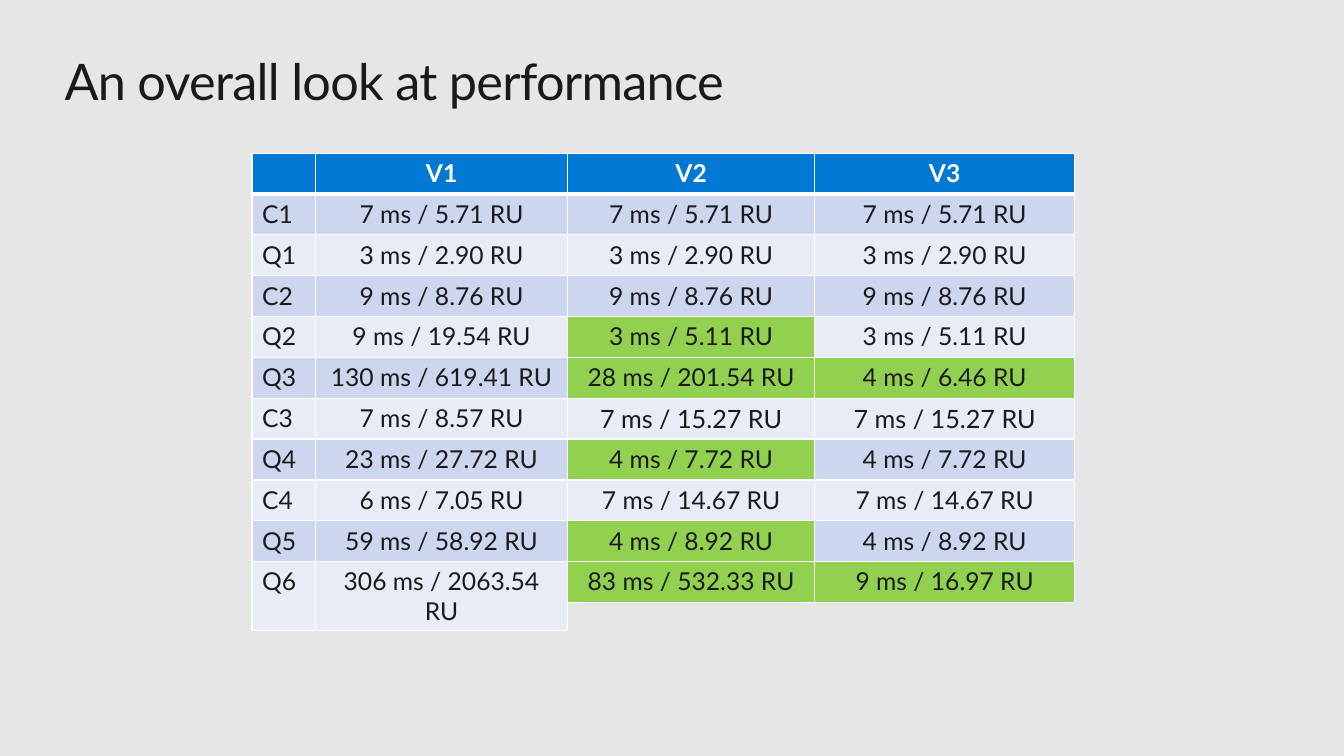
from dataclasses import dataclass
from lxml.etree import SubElement
from pptx import Presentation
from pptx.dml.color import RGBColor
from pptx.enum.text import MSO_ANCHOR, PP_ALIGN
from pptx.oxml.ns import qn
from pptx.util import Inches, Pt


@dataclass
class Theme:
    font: str = "Lato"
    head: float = 36
    body: float = 17.6
    large: float = 18
    back: str = "E6E6E6"
    ink: str = "1A1A1A"
    white: str = "FFFFFF"
    blue: str = "0078D4"
    dark: str = "CCD6EF"
    light: str = "E7ECF7"
    green: str = "92D050"


theme = Theme()


def style(para, size, color, bold=False):
    para.font.name = theme.font
    para.font.size = Pt(size)
    para.font.bold = bold
    para.font.color.rgb = RGBColor.from_string(color)


def edge(cell, side, width):
    props = cell._tc.get_or_add_tcPr()
    line = SubElement(props, qn(f"a:ln{side}"), w=str(Pt(width)))
    fill = SubElement(line, qn("a:solidFill"))
    SubElement(fill, qn("a:srgbClr"), val=theme.white)


deck = Presentation()
deck.slide_width = Inches(13.33)
deck.slide_height = Inches(7.5)
slide = deck.slides.add_slide(deck.slide_layouts[5])
slide.background.fill.solid()
slide.background.fill.fore_color.rgb = RGBColor.from_string(theme.back)

title = slide.shapes.title
title.left, title.top = Inches(0.64), Inches(0.5)
title.width, title.height = Inches(12.05), Inches(0.61)
frame = title.text_frame
frame.margin_left = frame.margin_right = 0
frame.margin_top = frame.margin_bottom = 0
frame.vertical_anchor = MSO_ANCHOR.TOP
frame.word_wrap = True
frame.text = "An overall look at performance"
para = frame.paragraphs[0]
para.alignment = PP_ALIGN.LEFT
style(para, theme.head, theme.ink)
para.runs[0]._r.get_or_add_rPr().set("spc", "-50")

later = [
    ("V2", "V3"),
    ("7 ms / 5.71 RU", "7 ms / 5.71 RU"),
    ("3 ms / 2.90 RU", "3 ms / 2.90 RU"),
    ("9 ms / 8.76 RU", "9 ms / 8.76 RU"),
    ("3 ms / 5.11 RU", "3 ms / 5.11 RU"),
    ("28 ms / 201.54 RU", "4 ms / 6.46 RU"),
    ("7 ms / 15.27 RU", "7 ms / 15.27 RU"),
    ("4 ms / 7.72 RU", "4 ms / 7.72 RU"),
    ("7 ms / 14.67 RU", "7 ms / 14.67 RU"),
    ("4 ms / 8.92 RU", "4 ms / 8.92 RU"),
    ("83 ms / 532.33 RU", "9 ms / 16.97 RU"),
]
first = [
    ("", "V1"),
    ("C1", "7 ms / 5.71 RU"),
    ("Q1", "3 ms / 2.90 RU"),
    ("C2", "9 ms / 8.76 RU"),
    ("Q2", "9 ms / 19.54 RU"),
    ("Q3", "130 ms / 619.41 RU"),
    ("C3", "7 ms / 8.57 RU"),
    ("Q4", "23 ms / 27.72 RU"),
    ("C4", "6 ms / 7.05 RU"),
    ("Q5", "59 ms / 58.92 RU"),
    ("Q6", "306 ms / 2063.54 RU"),
]
gains = {(4, 0), (5, 0), (5, 1), (7, 0), (9, 0), (10, 0), (10, 1)}
grids = [
    (later, 5.63, (2.45, 2.58), gains, {6}, set()),
    (first, 2.5, (0.63, 2.5), set(), set(), {0}),
]

for rows, left, widths, wins, big, names in grids:
    table = slide.shapes.add_table(
        len(rows), len(widths), Inches(left), Inches(1.52),
        Inches(sum(widths)), Inches(4.46)).table
    for col, width in zip(table.columns, widths):
        col.width = Inches(width)
    for r, row in enumerate(rows):
        for c, text in enumerate(row):
            cell = table.cell(r, c)
            for side in "LRTB":
                thick = (r, side) in {(0, "B"), (1, "T")}
                edge(cell, side, 3 if thick else 1)
            shade = theme.dark if r % 2 else theme.light
            if r == 0:
                shade = theme.blue
            elif (r, c) in wins:
                shade = theme.green
            cell.fill.solid()
            cell.fill.fore_color.rgb = RGBColor.from_string(shade)
            cell.text = text
            para = cell.text_frame.paragraphs[0]
            para.alignment = PP_ALIGN.LEFT if c in names else PP_ALIGN.CENTER
            size = theme.large if r in big else theme.body
            style(para, size, theme.ink if r else theme.white, r == 0)

deck.save("out.pptx")
